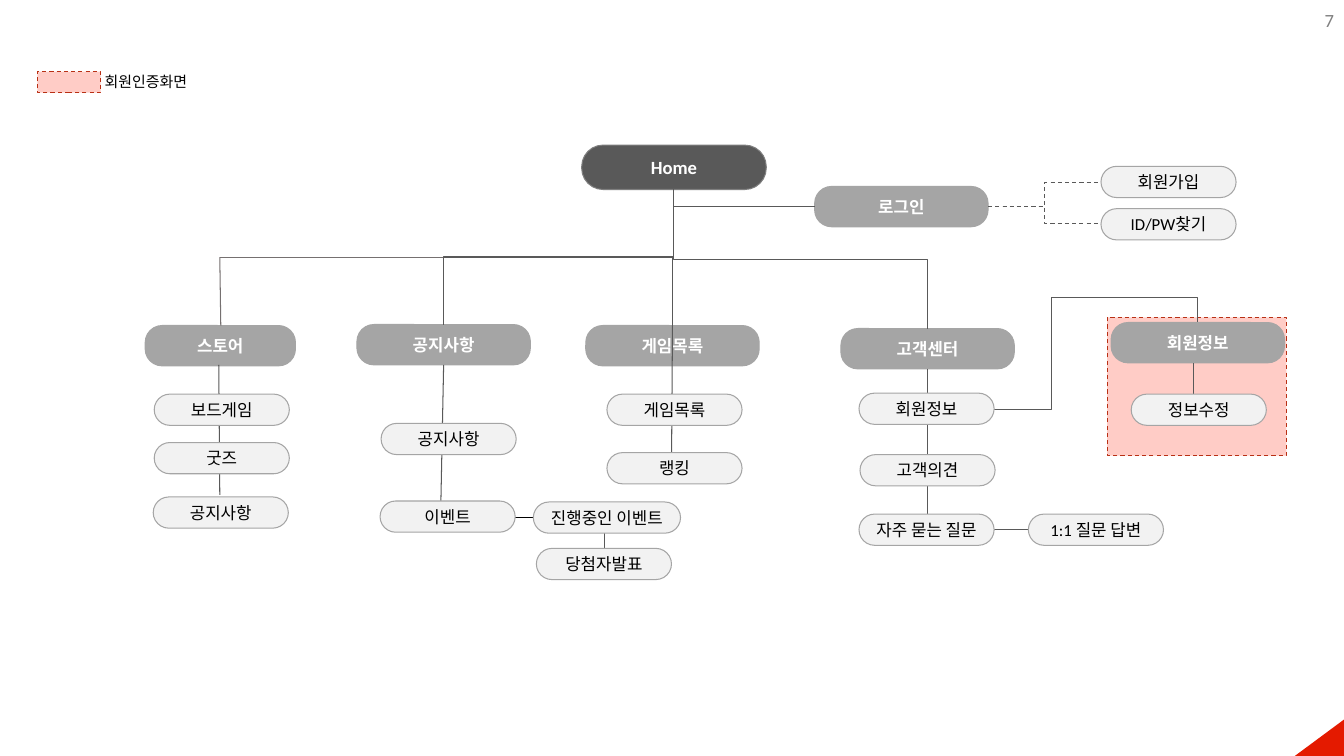
"""Build a site map slide for a game store."""
from pptx import Presentation
from pptx.dml.color import RGBColor
from pptx.enum.dml import MSO_LINE
from pptx.enum.shapes import MSO_CONNECTOR, MSO_SHAPE
from pptx.enum.text import MSO_ANCHOR, PP_ALIGN
from pptx.oxml.ns import qn
from pptx.util import Inches, Pt

ROUND = MSO_SHAPE.ROUNDED_RECTANGLE
RECT = MSO_SHAPE.RECTANGLE
CORNER = MSO_SHAPE.RIGHT_TRIANGLE
STRAIGHT, ELBOW = MSO_CONNECTOR.STRAIGHT, MSO_CONNECTOR.ELBOW
DASH = MSO_LINE.DASH
MIDDLE, TOP = MSO_ANCHOR.MIDDLE, MSO_ANCHOR.TOP
CENTER, LEFT, RIGHT = PP_ALIGN.CENTER, PP_ALIGN.LEFT, PP_ALIGN.RIGHT

FONT = "Calibri"
COLORS = {
    "red": "E41A00", "pink": "FFCCC6", "rust": "B93015",
    "dark": "595959", "edge": "7F7F7F", "gray": "A5A5A5",
    "pale": "F2F2F2", "warm": "757070", "white": "FFFFFF", "black": "000000",
}

ZONES = [(10.98, 3.15, 1.78, 1.37), (0.37, 0.71, 0.63, 0.21)]
HOME = ("Home", 5.77, 1.44, 1.83)
HEADS = [
    ("로그인", 8.08, 1.85, 1.72),
    ("스토어", 1.44, 3.23, 1.49),
    ("공지사항", 3.54, 3.22, 1.72),
    ("게임목록", 5.81, 3.23, 1.72),
    ("고객센터", 8.34, 3.26, 1.72),
    ("회원정보", 11.02, 3.2, 1.72),
]
PILLS = [
    ("회원가입", 10.92, 1.65, 1.34),
    ("ID/PW찾기", 10.92, 2.07, 1.34),
    ("보드게임", 1.53, 3.91, 1.34),
    ("굿즈", 1.53, 4.39, 1.34),
    ("공지사항", 1.52, 4.93, 1.34),
    ("공지사항", 3.78, 4.2, 1.34),
    ("이벤트", 3.77, 4.97, 1.34),
    ("진행중인 이벤트", 5.29, 4.98, 1.46),
    ("당첨자발표", 5.32, 5.44, 1.34),
    ("게임목록", 6.02, 3.91, 1.34),
    ("랭킹", 6.02, 4.49, 1.34),
    ("회원정보", 8.52, 3.9, 1.34),
    ("고객의견", 8.53, 4.51, 1.34),
    ("자주 묻는 질문", 8.52, 5.1, 1.34),
    ("1:1 질문 답변", 10.2, 5.1, 1.34),
    ("정보수정", 11.22, 3.91, 1.34),
]
LEVELS = [
    ([HOME], 0.44, 0.48, "dark", "edge", "white", 13.3),
    (HEADS, 0.4, 0.42, "gray", "gray", "white", 12),
    (PILLS, 0.31, 0.5, "pale", "gray", "black", 12),
]

LINES = [
    ((4.4, 2.55), (2.18, 2.55), "warm"),
    ((2.18, 2.55), (2.19, 3.23), "warm"),
    ((2.17, 3.62), (2.18, 4.91), "dark"),
    ((4.4, 3.62), (4.37, 5.13), "dark"),
    ((5.38, 5.13), (4.84, 5.13), "black"),
    ((6, 5.06), (6, 5.71), "dark"),
    ((6.67, 3.23), (6.66, 4.67), "dark"),
    ((9.2, 3.66), (9.2, 5.3), "dark"),
    ((9.8, 5.25), (10.29, 5.25), "dark"),
    ((11.84, 3.6), (11.84, 4.14), "dark"),
]
TRUNK = (6.68, 1.88)
DROPS = [
    ((4.4, 3.22), "bentConnector3"),
    ((6.67, 3.23), "bentConnector3"),
    ((9.2, 3.26), "bentConnector3"),
    ((8.08, 2.05), "bentConnector2"),
]
LOGIN = (9.8, 2.05)
FORKS = [(10.92, 1.81), (10.92, 2.22)]
DETOUR = ((9.85, 4.06), (11.88, 3.2), (28700, 129100))

deck = Presentation()
deck.slide_width, deck.slide_height = Inches(13.33), Inches(7.5)
slide = deck.slides.add_slide(deck.slide_layouts[6])
shapes = slide.shapes


def rgb(name):
    return RGBColor.from_string(COLORS[name])


def write(shape, text, size, color, align, anchor=MIDDLE, bold=False):
    frame = shape.text_frame
    frame.text = text
    frame.word_wrap = True
    frame.vertical_anchor = anchor
    para = frame.paragraphs[0]
    para.alignment = align
    font = para.runs[0].font
    font.name, font.size, font.bold = FONT, Pt(size), bold
    font.color.rgb = rgb(color)


def block(kind, box, fill, edge=None):
    shape = shapes.add_shape(kind, *map(Inches, box))
    shape.shadow.inherit = False
    shape.fill.solid()
    shape.fill.fore_color.rgb = rgb(fill)
    if edge:
        shape.line.color.rgb = rgb(edge)
        shape.line.width = Pt(0.75)
    else:
        shape.line.fill.background()
    return shape


def node(name, left, top, width, style):
    height, curve, fill, edge, ink, size = style
    shape = block(ROUND, (left, top, width, height), fill, edge)
    shape.adjustments[0] = curve
    frame = shape.text_frame
    frame.margin_left = frame.margin_right = Inches(0.02)
    frame.margin_top = frame.margin_bottom = Inches(0.02)
    write(shape, name, size, ink, CENTER, bold=ink == "white")


def link(kind, start, end, color="dark"):
    line = shapes.add_connector(kind, *map(Inches, start + end))
    line.line.color.rgb = rgb(color)
    line.line.width = Pt(0.75)
    props = line._element.spPr
    props.append(props.makeelement(qn("a:effectLst"), {}))
    return line


def drop(start, end, preset):
    """Link two points with an elbow that leaves downward."""
    (x1, y1), (x2, y2) = start, end
    wide, tall = abs(x2 - x1), y2 - y1
    left, top = (x1 + x2 - tall) / 2, (y1 + y2 - wide) / 2
    line = link(ELBOW, (left, top), (left + tall, top + wide))
    props = line._element.spPr
    props.find(qn("a:prstGeom")).set("prst", preset)
    frame = props.find(qn("a:xfrm"))
    frame.set("rot", "5400000" if x2 < x1 else "16200000")
    if x2 > x1:
        frame.set("flipH", "1")


def detour(start, end, bends):
    geom = link(ELBOW, start, end)._element.spPr.find(qn("a:prstGeom"))
    geom.set("prst", "bentConnector4")
    guides = geom.get_or_add_avLst()
    for i, bend in enumerate(bends, 1):
        guide = {"name": f"adj{i}", "fmla": f"val {bend}"}
        guides.append(guides.makeelement(qn("a:gd"), guide))


def label(box, *style):
    write(shapes.add_textbox(*map(Inches, box)), *style)


block(CORNER, (12.9, 7.07, 0.37, 0.5), "red").rotation = 270
for box in ZONES:
    block(RECT, box, "pink", "rust").line.dash_style = DASH
label((12.53, 0, 0.8, 0.4), "7", 13.3, "edge", RIGHT)
label((0.94, 0.67, 1.1, 0.28), "회원인증화면", 10.7, "black", LEFT, TOP)

for nodes, *style in LEVELS[:2]:
    for item in nodes:
        node(*item, style)
for start, end, color in LINES:
    link(STRAIGHT, start, end, color)
for end, preset in DROPS:
    drop(TRUNK, end, preset)
for end in FORKS:
    link(ELBOW, LOGIN, end).line.dash_style = DASH
detour(*DETOUR)
for nodes, *style in LEVELS[2:]:
    for item in nodes:
        node(*item, style)

deck.save("out.pptx")
